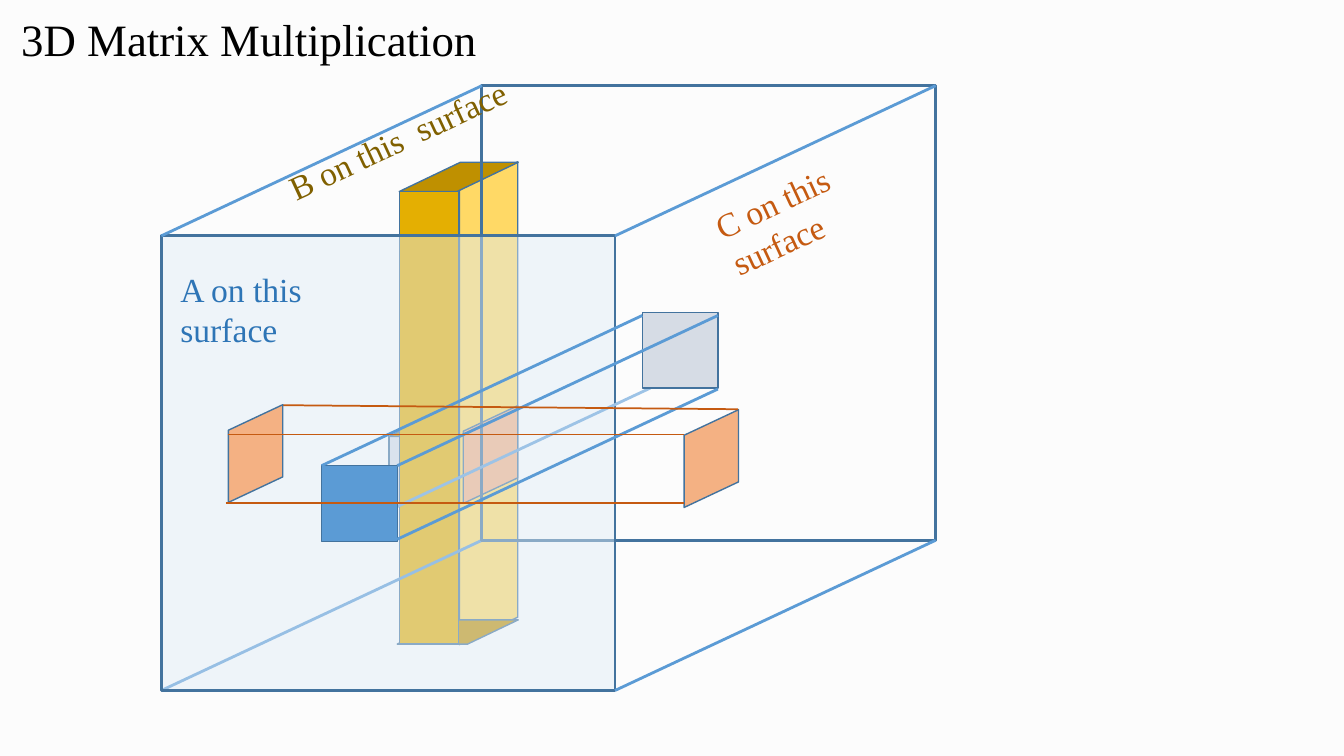
from lxml import etree
from pptx import Presentation
from pptx.dml.color import RGBColor
from pptx.enum import shapes, text
from pptx.oxml import ns
from pptx.util import Inches, Pt

BACKGROUND = RGBColor(0xFC, 0xFC, 0xFC)
BLACK = RGBColor(0, 0, 0)
OUTLINE = RGBColor(0x43, 0x73, 0x9E)
BLUE = RGBColor(0x5B, 0x9B, 0xD5)
LIGHT_BLUE = RGBColor(0x9D, 0xC3, 0xE6)
PALE_BLUE = RGBColor(0xDE, 0xEB, 0xF7)
TEXT_BLUE = RGBColor(0x2E, 0x75, 0xB6)
GREY = RGBColor(0xD6, 0xDC, 0xE5)
PEACH = RGBColor(0xF4, 0xB1, 0x83)
ORANGE = RGBColor(0xC5, 0x5A, 0x11)
YELLOW = RGBColor(0xFF, 0xD9, 0x66)
GOLD = RGBColor(0xE4, 0xAF, 0x02)
DARK_GOLD = RGBColor(0xBF, 0x90, 0x00)
BROWN = RGBColor(0x80, 0x60, 0x00)

FONT = "Times New Roman"
RECTANGLE = shapes.MSO_SHAPE.RECTANGLE
PARALLELOGRAM = shapes.MSO_SHAPE.PARALLELOGRAM

CUBE_LEFT, CUBE_TOP = 1.6, 2.34
CUBE_WIDTH, CUBE_HEIGHT = 4.5, 4.51
DEPTH_X, DEPTH_Y = 3.18, -1.49


def add_face(container, preset, box, fill=None, width=1):
    shape = container.add_shape(preset, *(Inches(value) for value in box))
    shape.shadow.inherit = False
    if fill is None:
        shape.fill.background()
    else:
        shape.fill.solid()
        shape.fill.fore_color.rgb = fill
    shape.line.color.rgb = OUTLINE
    shape.line.width = Pt(width)
    return shape


def add_slanted_face(container, box, slant, fill, rotation=0, flip=None):
    shape = add_face(container, PARALLELOGRAM, box, fill)
    shape.adjustments[0] = slant
    shape.rotation = rotation
    if flip:
        shape._element.spPr.get_or_add_xfrm().set(flip, "1")


def add_side_tile(container, left, top, length=0.97):
    """Add a peach tile that lies parallel to the side of the cube."""
    add_slanted_face(container, (left, top, length, 0.54), 0.47, PEACH, 90, "flipV")


def add_edge(container, start, end, color=BLUE, width=2):
    points = (Inches(value) for value in (*start, *end))
    edge = container.add_connector(shapes.MSO_CONNECTOR.STRAIGHT, *points)
    edge.line.color.rgb = color
    edge.line.width = Pt(width)
    etree.SubElement(edge._element.spPr, ns.qn("a:effectLst"))


def add_depth_edge(container, left, top, color=BLUE):
    """Add an edge that runs from the front of the cube to its back."""
    add_edge(container, (left, top), (left + DEPTH_X, top + DEPTH_Y), color)


def set_transparent(shape, opacity):
    color = shape._element.spPr.find(ns.qn("a:solidFill"))[0]
    etree.SubElement(color, ns.qn("a:alpha")).set("val", str(opacity * 1000))


def write(shape, box, wording, size, color, rotation=0):
    shape.left, shape.top, shape.width, shape.height = (Inches(value) for value in box)
    shape.rotation = rotation
    frame = shape.text_frame
    frame.text = wording
    frame.word_wrap = True
    frame.auto_size = text.MSO_AUTO_SIZE.SHAPE_TO_FIT_TEXT
    frame.vertical_anchor = text.MSO_ANCHOR.TOP
    paragraph = frame.paragraphs[0]
    paragraph.alignment = text.PP_ALIGN.LEFT
    paragraph.font.name = FONT
    paragraph.font.size = Pt(size)
    paragraph.font.color.rgb = color


def add_label(slide, box, wording, color, rotation=0):
    label = slide.shapes.add_textbox(0, 0, 0, 0)
    write(label, box, wording, 24, color, rotation)


def add_center_block(slide):
    block = slide.shapes.add_group_shape().shapes
    add_side_tile(block, 4.36, 4.27, 0.96)
    add_face(block, RECTANGLE, (3.86, 4.33, 0.71, 0.69), GREY)
    add_slanted_face(block, (3.86, 4.04, 1.28, 0.29), 1.96, DARK_GOLD)


def add_b_column(slide):
    column = slide.shapes.add_group_shape().shapes
    add_slanted_face(column, (2.45, 3.71, 4.79, 0.58), 0.47, YELLOW, 270, "flipH")
    add_slanted_face(column, (3.96, 1.61, 1.18, 0.29), 2.09, DARK_GOLD)
    add_slanted_face(column, (3.94, 6.15, 1.2, 0.24), 2.09, DARK_GOLD)
    add_face(column, RECTANGLE, (3.96, 1.9, 0.59, 4.49), GOLD)


def add_cube(slide):
    right, bottom = CUBE_LEFT + CUBE_WIDTH, CUBE_TOP + CUBE_HEIGHT
    size = (CUBE_WIDTH, CUBE_HEIGHT)
    add_depth_edge(slide.shapes, CUBE_LEFT, bottom)
    back = (CUBE_LEFT + DEPTH_X, CUBE_TOP + DEPTH_Y, *size)
    add_face(slide.shapes, RECTANGLE, back, width=2)
    front = add_face(slide.shapes, RECTANGLE, (CUBE_LEFT, CUBE_TOP, *size), PALE_BLUE, 2)
    set_transparent(front, 46)
    for corner in ((CUBE_LEFT, CUBE_TOP), (right, CUBE_TOP), (right, bottom)):
        add_depth_edge(slide.shapes, *corner)


def add_a_beam(slide):
    beam = slide.shapes.add_group_shape().shapes
    left, top, side = 3.19, 4.62, 0.75
    add_depth_edge(beam, 3.27, 5.34, LIGHT_BLUE)
    add_face(beam, RECTANGLE, (left, top, side, side), BLUE)
    add_face(beam, RECTANGLE, (left + DEPTH_X, 3.1, side, side), GREY)
    for corner in ((left, top), (left + side, top), (left + side, 5.35)):
        add_depth_edge(beam, *corner)


def add_c_beam(slide):
    beam = slide.shapes.add_group_shape().shapes
    add_side_tile(beam, 6.57, 4.28)
    add_edge(beam, (2.8, 4.02), (7.32, 4.06), ORANGE, 1.25)
    add_side_tile(beam, 2.05, 4.23)
    for left, top in ((2.26, 4.31), (2.24, 4.99)):
        add_edge(beam, (left, top), (6.78, top), ORANGE, 1.25)


def main():
    presentation = Presentation()
    presentation.slide_width = Inches(13.33)
    presentation.slide_height = Inches(7.5)
    slide = presentation.slides.add_slide(presentation.slide_layouts[5])
    slide.background.fill.solid()
    slide.background.fill.fore_color.rgb = BACKGROUND

    title_box = (0.11, 0.07, 6.25, 0.64)
    write(slide.shapes.title, title_box, "3D Matrix Multiplication", 32, BLACK)
    add_center_block(slide)
    add_b_column(slide)
    add_side_tile(slide.shapes, 4.38, 4.24)
    add_cube(slide)
    add_a_beam(slide)
    add_c_beam(slide)
    add_label(slide, (6.89, 1.56, 2.37, 0.4), "C on this  surface", ORANGE, 335)
    add_label(slide, (1.69, 2.62, 2.29, 0.4), "A on this surface", TEXT_BLUE)
    add_label(slide, (2.66, 1.06, 2.87, 0.5), "B on this  surface", BROWN, 335)
    presentation.save("out.pptx")


if __name__ == "__main__":
    main()
